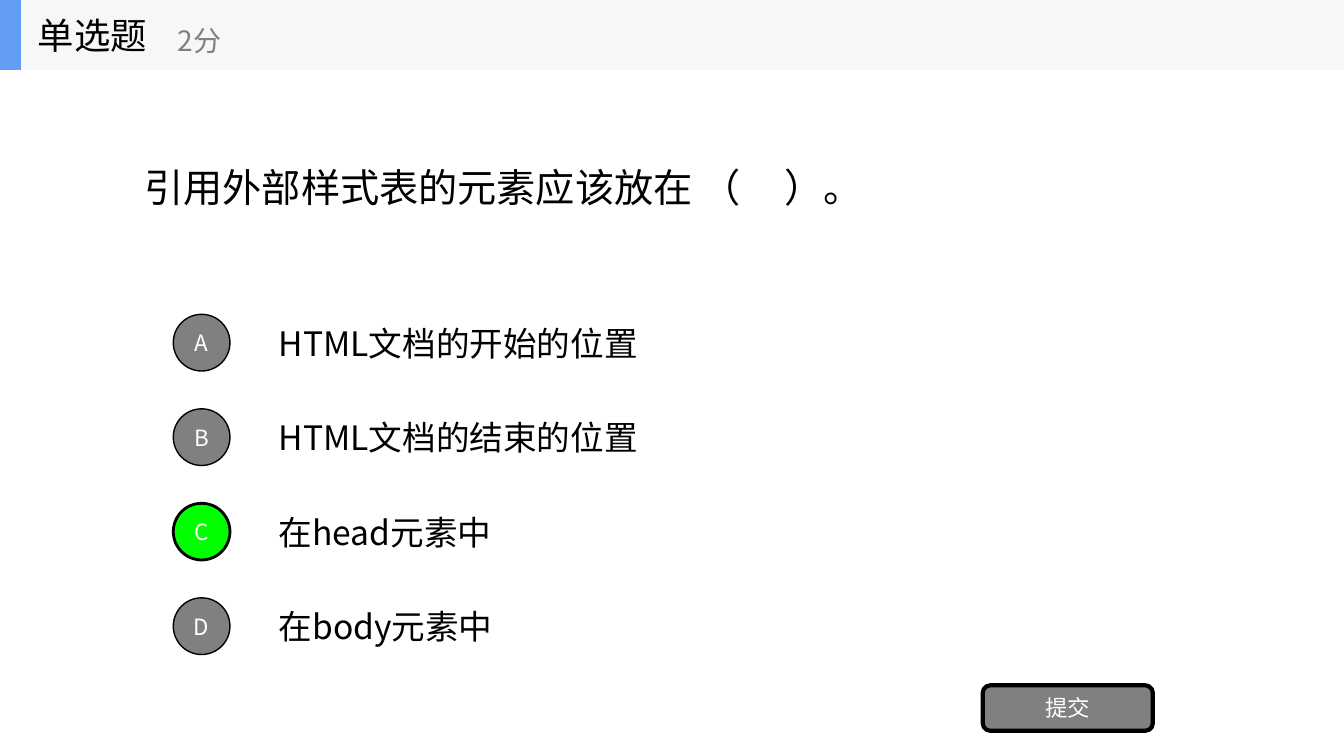
from lxml import etree
from pptx import Presentation
from pptx.dml.color import RGBColor
from pptx.enum import shapes, text
from pptx.oxml import ns
from pptx.util import Pt

FONT = "Noto Sans CJK SC"
COLORS = {
    "black": "000000",
    "white": "FFFFFF",
    "gray": "808080",
    "correct": "00FF00",
    "band": "F6F7F8",
    "accent": "639EF4",
}
QUESTION = "引用外部样式表的元素应该放在 （     ）。"
OPTIONS = {
    "A": "HTML文档的开始的位置",
    "B": "HTML文档的结束的位置",
    "C": "在head元素中",
    "D": "在body元素中",
}
CORRECT = "C"
FIRST_OPTION_TOP, OPTION_STEP, OPTION_HEIGHT = 219.5, 67.5, 50.5
CIRCLE_SIZE = 40.5


def color(name):
    return RGBColor.from_string(COLORS[name])


def write(shape, content, size, color_name, align=text.PP_ALIGN.LEFT):
    frame = shape.text_frame
    frame.text = content
    frame.word_wrap = True
    frame.auto_size = text.MSO_AUTO_SIZE.NONE
    frame.vertical_anchor = text.MSO_ANCHOR.MIDDLE
    paragraph = frame.paragraphs[0]
    paragraph.alignment = align
    paragraph.font.size = Pt(size)
    paragraph.font.color.rgb = color(color_name)
    paragraph.font.name = FONT
    # Chinese characters take the East Asian typeface
    properties = paragraph._p.pPr.find(ns.qn("a:defRPr"))
    etree.SubElement(properties, ns.qn("a:ea"), typeface=FONT)


def add_label(parent, box, content, size, color_name="black"):
    shape = parent.add_textbox(*map(Pt, box))
    write(shape, content, size, color_name)


def add_block(parent, kind, box, fill, line_width=0):
    shape = parent.add_shape(kind, *map(Pt, box))
    shape.shadow.inherit = False
    shape.fill.solid()
    shape.fill.fore_color.rgb = color(fill)
    if line_width:
        shape.line.color.rgb = color("black")
        shape.line.width = Pt(line_width)
    else:
        shape.line.fill.background()
    return shape


def add_button(parent, kind, box, content, fill, line_width):
    shape = add_block(parent, kind, box, fill, line_width)
    write(shape, content, 16, "white", text.PP_ALIGN.CENTER)
    frame = shape.text_frame
    frame.margin_left = frame.margin_right = 0
    frame.margin_top = frame.margin_bottom = 0


def add_question(slide):
    title = slide.shapes.title
    title.left, title.top, title.width, title.height = map(Pt, (96, 49.5, 768, 168.5))
    write(title, QUESTION, 28, "black")


def add_option(parent, index, letter, answer):
    top = FIRST_OPTION_TOP + index * OPTION_STEP
    add_label(parent, (192, top, 672, OPTION_HEIGHT), answer, 24)
    is_correct = letter == CORRECT
    circle_top = top + (OPTION_HEIGHT - CIRCLE_SIZE) / 2
    add_button(parent, shapes.MSO_SHAPE.OVAL,
               (123.75, circle_top, CIRCLE_SIZE, CIRCLE_SIZE), letter,
               "correct" if is_correct else "gray", 2 if is_correct else 1)


def add_header(slide):
    header = slide.shapes.add_group_shape().shapes
    add_block(header, shapes.MSO_SHAPE.RECTANGLE, (0, 0, 960, 50), "band")
    add_block(header, shapes.MSO_SHAPE.RECTANGLE, (0, 0, 15, 50), "accent")
    add_label(header, (20, 0, 150, 50), "单选题", 26)
    add_label(header, (120, 9, 180, 40), "2分", 20, "gray")


def main():
    presentation = Presentation()
    presentation.slide_width, presentation.slide_height = Pt(960), Pt(540)
    slide = presentation.slides.add_slide(presentation.slide_layouts.get_by_name("Title Only"))
    add_question(slide)
    for index, (letter, answer) in enumerate(OPTIONS.items()):
        add_option(slide.shapes, index, letter, answer)
    add_button(slide.shapes, shapes.MSO_SHAPE.ROUNDED_RECTANGLE,
               (702, 489.5, 121.5, 32.5), "提交", "gray", 3)
    add_header(slide)
    presentation.save("out.pptx")


if __name__ == "__main__":
    main()
